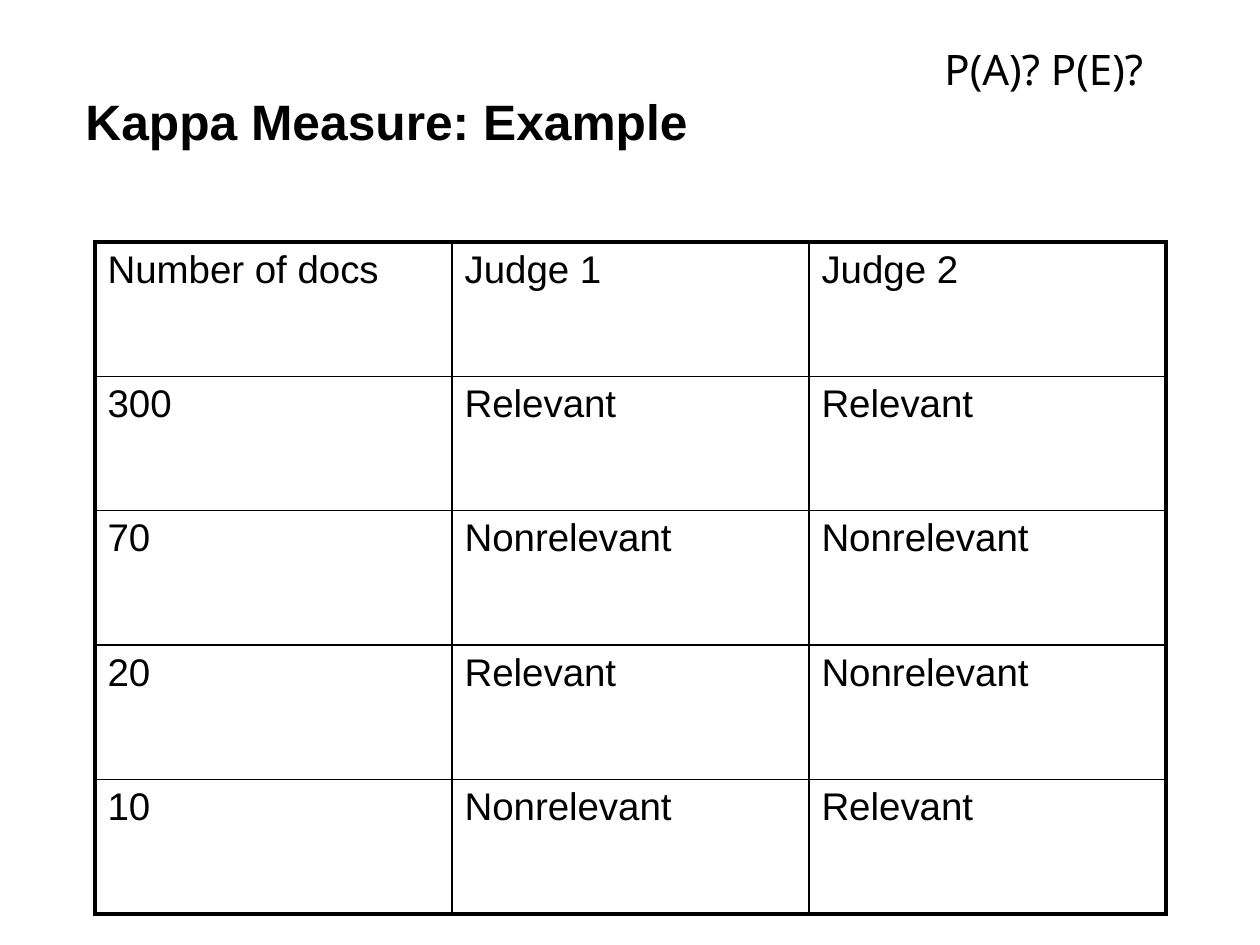
from dataclasses import dataclass

from pptx import Presentation
from pptx import util as u
from pptx.dml.color import RGBColor
from pptx.enum import text
from pptx.oxml import parse_xml
from pptx.oxml.ns import nsdecls

BLACK = RGBColor(0x00, 0x00, 0x00)
PX_PER_INCH = 126
OUTER_LINE, INNER_LINE = 2.25, 1

ROWS = [
    ("Number of docs", "Judge 1", "Judge 2"),
    ("300", "Relevant", "Relevant"),
    ("70", "Nonrelevant", "Nonrelevant"),
    ("20", "Relevant", "Nonrelevant"),
    ("10", "Nonrelevant", "Relevant"),
]


@dataclass
class Box:
    left: int
    top: int
    width: int
    height: int

    def emu(self) -> list[int]:
        return [px(n) for n in (self.left, self.top, self.width, self.height)]


@dataclass
class Label:
    words: str
    box: Box
    font: str
    size: float
    bold: bool = False
    wrap: bool = True
    anchor: text.MSO_ANCHOR = text.MSO_ANCHOR.TOP


LABELS = [
    Label("Kappa Measure: Example", Box(73, 53, 1113, 136), "Arial", 28.4,
          bold=True, anchor=text.MSO_ANCHOR.MIDDLE),
    Label("P(A)? P(E)?", Box(932, 37, 252, 63), "Noto Sans", 24, wrap=False),
]
TABLE_BOX = Box(95, 242, 1071, 672)


def px(length: int) -> int:
    return round(length * u.Inches(1) / PX_PER_INCH)


def style(paragraph, font: str, size: float, bold: bool = False) -> None:
    for run in paragraph.runs:
        run.font.name = font
        run.font.size = u.Pt(size)
        run.font.bold = bold
        run.font.color.rgb = BLACK


def add_label(slide, label: Label) -> None:
    shape = slide.shapes.add_textbox(*label.box.emu())
    frame = shape.text_frame
    frame.text = label.words
    frame.word_wrap = label.wrap
    frame.vertical_anchor = label.anchor
    if not label.wrap:
        frame.auto_size = text.MSO_AUTO_SIZE.SHAPE_TO_FIT_TEXT
    style(frame.paragraphs[0], label.font, label.size, label.bold)


def set_borders(cell, outer_sides: dict[str, bool]) -> None:
    properties = cell._tc.get_or_add_tcPr()
    for position, (side, outer) in enumerate(outer_sides.items()):
        width = u.Pt(OUTER_LINE if outer else INNER_LINE)
        properties.insert(position, parse_xml(
            f'<a:{side} {nsdecls("a")} w="{width}"><a:solidFill>'
            f'<a:srgbClr val="{BLACK}"/></a:solidFill></a:{side}>'))


def add_judgements(slide, box: Box, rows: list[tuple[str, ...]]) -> None:
    row_count, column_count = len(rows), len(rows[0])
    frame = slide.shapes.add_table(row_count, column_count, *box.emu())
    table = frame.table
    table.first_row = table.horz_banding = False
    for r, row in enumerate(rows):
        for c, words in enumerate(row):
            cell = table.cell(r, c)
            cell.text_frame.text = words
            cell.fill.background()
            style(cell.text_frame.paragraphs[0], "Arial", 22)
            set_borders(cell, {
                "lnL": c == 0,
                "lnR": c == column_count - 1,
                "lnT": r == 0,
                "lnB": r == row_count - 1,
            })


def main() -> None:
    presentation = Presentation()
    presentation.slide_width = u.Inches(10)
    presentation.slide_height = u.Inches(7.5)
    slide = presentation.slides.add_slide(presentation.slide_layouts[6])

    # Title and the question beside it
    for label in LABELS:
        add_label(slide, label)

    # Judges' decisions
    add_judgements(slide, TABLE_BOX, ROWS)

    presentation.save("out.pptx")


if __name__ == "__main__":
    main()
